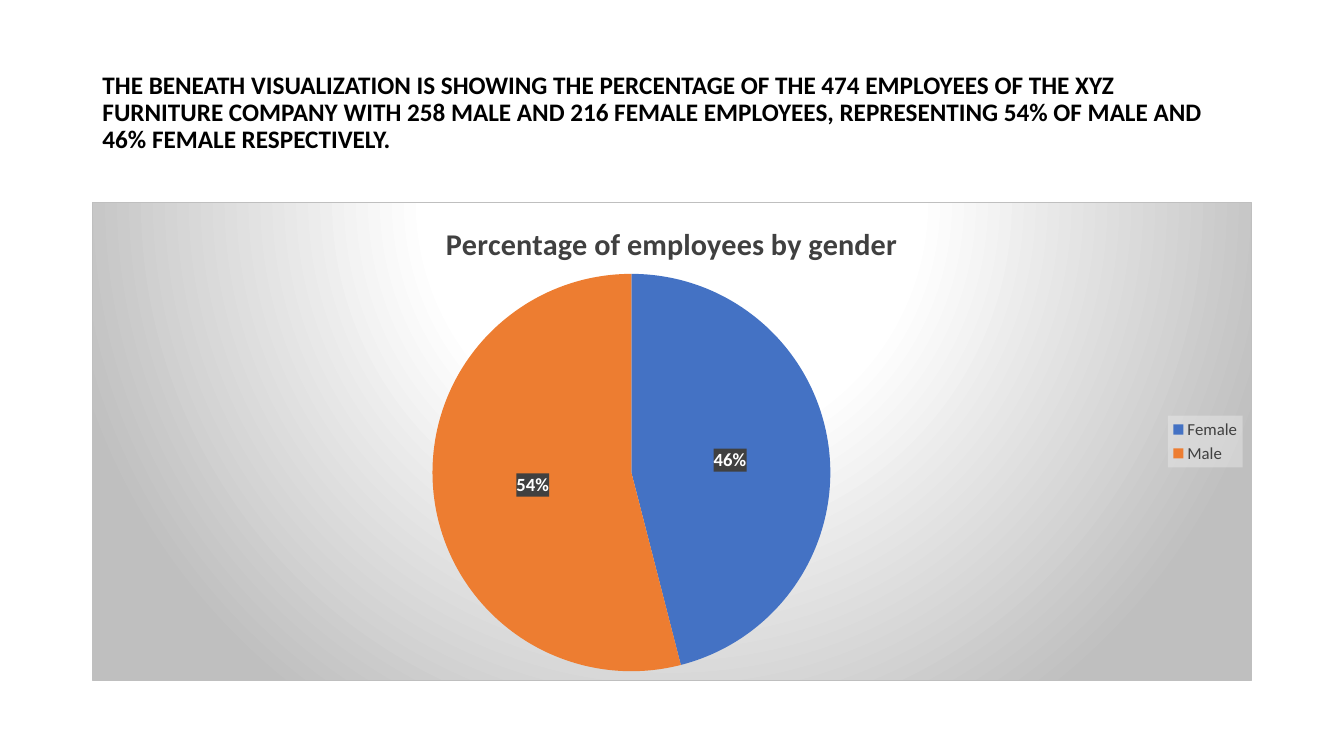
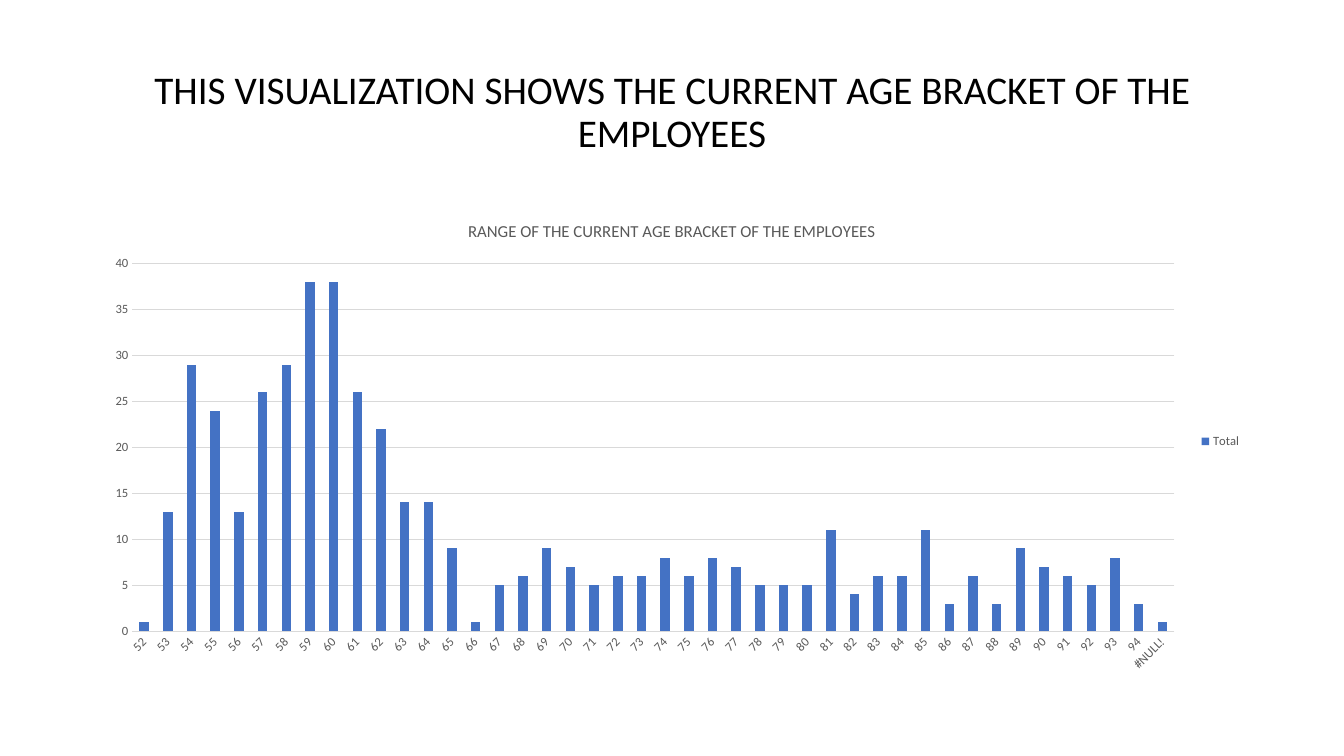
from pptx import Presentation
from pptx.chart.data import CategoryChartData
from pptx.dml.color import RGBColor
from pptx.enum.chart import XL_CHART_TYPE, XL_LABEL_POSITION, XL_LEGEND_POSITION, XL_TICK_MARK
from pptx.enum.text import MSO_ANCHOR, MSO_AUTO_SIZE, PP_ALIGN
from pptx.oxml import parse_xml
from pptx.oxml.ns import nsdecls, qn
from pptx.util import Pt

PIE, COLUMN = XL_CHART_TYPE.PIE, XL_CHART_TYPE.COLUMN_STACKED
LEFT, CENTER = PP_ALIGN.LEFT, PP_ALIGN.CENTER
MIDDLE, NO_AUTOFIT = MSO_ANCHOR.MIDDLE, MSO_AUTO_SIZE.NONE
LABEL_CENTER = XL_LABEL_POSITION.CENTER
LEGEND_RIGHT = XL_LEGEND_POSITION.RIGHT
NO_TICK = XL_TICK_MARK.NONE

COLORS = {
    "black": "000000", "white": "FFFFFF", "silver": "BFBFBF", "grid": "D9D9D9",
    "pale": "F2F2F2", "dark": "404040", "gray": "595959",
    "blue": "4472C4", "orange": "ED7D31",
}
FONT = "Calibri"
TITLE_ONLY = 5
MARGIN, CONTENT_WIDTH = 66, 828
TITLE_TOP, TITLE_HEIGHT = 28.75, 104.4
CHART_TOP, CHART_HEIGHT = 144, 342.7


def rgb(name):
    return RGBColor.from_string(COLORS[name])


def translucent(name, percent):
    return (f'<a:solidFill><a:srgbClr val="{COLORS[name]}">'
            f'<a:alpha val="{percent * 1000}"/></a:srgbClr></a:solidFill>')


def spotlight(center, edge):
    """Radial gradient centred above the chart."""
    stops = "".join(f'<a:gs pos="{pos * 1000}"><a:srgbClr val="{COLORS[name]}"/></a:gs>'
                    for pos, name in ((0, center), (39, center), (100, edge)))
    return (f'<a:gradFill><a:gsLst>{stops}</a:gsLst><a:path path="circle">'
            '<a:fillToRect l="50000" t="-80000" r="50000" b="180000"/></a:path></a:gradFill>')


def outline(name):
    return f'<a:ln w="9525"><a:solidFill><a:srgbClr val="{COLORS[name]}"/></a:solidFill></a:ln>'


NO_LINE = "<a:ln><a:noFill/></a:ln>"


def paint(element, fill, line=NO_LINE):
    """Give a chart part its fill and line, just ahead of its text properties."""
    properties = parse_xml(f'<c:spPr {nsdecls("c", "a")}>{fill}{line}</c:spPr>')
    element.find(qn("c:txPr")).addprevious(properties)


class Deck:
    def __init__(self):
        self.presentation = Presentation()
        self.presentation.slide_width = Pt(960)
        self.presentation.slide_height = Pt(540)
        self.slide = None

    def style(self, font, size, color, bold=False):
        font.name, font.size, font.bold = FONT, Pt(size), bold
        font.color.rgb = rgb(color)

    def add_text(self, frame, text, size, color, bold=False, align=CENTER):
        paragraph = frame.paragraphs[0]
        paragraph.alignment = align
        run = paragraph.add_run()
        run.text = text
        self.style(run.font, size, color, bold)
        return paragraph

    def new_slide(self, heading, size, bold=False, align=CENTER):
        layout = self.presentation.slide_layouts[TITLE_ONLY]
        self.slide = self.presentation.slides.add_slide(layout)
        title = self.slide.shapes.title
        title.left, title.top = Pt(MARGIN), Pt(TITLE_TOP)
        title.width, title.height = Pt(CONTENT_WIDTH), Pt(TITLE_HEIGHT)
        frame = title.text_frame
        frame.auto_size = NO_AUTOFIT
        frame.word_wrap = True
        frame.vertical_anchor = MIDDLE
        self.add_text(frame, heading, size, "black", bold, align).line_spacing = 0.9

    def chart(self, kind, series_name, counts, caption, caption_size, text_color,
              legend_size, bold=False):
        data = CategoryChartData()
        data.categories = list(counts)
        data.add_series(series_name, list(counts.values()))
        chart = self.slide.shapes.add_chart(
            kind, Pt(MARGIN), Pt(CHART_TOP), Pt(CONTENT_WIDTH), Pt(CHART_HEIGHT), data).chart
        self.style(chart.font, 10, "black")
        chart.has_title = True
        self.add_text(chart.chart_title.text_frame, caption, caption_size, text_color, bold)
        chart.has_legend = True
        chart.legend.position = LEGEND_RIGHT
        chart.legend.include_in_layout = False
        self.style(chart.legend.font, legend_size, text_color)
        return chart

    def pie(self, series_name, shares, slice_colors, caption):
        chart = self.chart(PIE, series_name, shares, caption, 21.6, "dark", 12, bold=True)
        paint(chart._chartSpace, spotlight("white", "silver"), outline("silver"))
        paint(chart.legend._element, translucent("pale", 39))
        plot = chart.plots[0]
        plot.vary_by_categories = True
        series = plot.series[0]
        for index, color in enumerate(slice_colors):
            fill = series.points[index].format.fill
            fill.solid()
            fill.fore_color.rgb = rgb(color)
        # Percentage labels
        labels = series.data_labels
        labels.show_percentage, labels.show_value = True, False
        labels.number_format, labels.number_format_is_linked = "0%", False
        labels.position = LABEL_CENTER
        self.style(labels.font, 13.3, "white", bold=True)
        paint(labels._element, translucent("dark", 90))
        # Fixed plot area
        modes = '<c:layoutTarget val="inner"/><c:xMode val="edge"/><c:yMode val="edge"/>'
        place = "".join(f'<c:{side} val="{value}"/>' for side, value in
                        (("x", 0.11), ("y", 0.15), ("w", 0.71), ("h", 0.83)))
        plot_area = chart._chartSpace.chart.plotArea
        for old_layout in plot_area.findall(qn("c:layout")):
            plot_area.remove(old_layout)
        plot_area.insert(0, parse_xml(
            f'<c:layout {nsdecls("c")}><c:manualLayout>{modes}{place}</c:manualLayout></c:layout>'))

    def columns(self, series_name, counts, color, caption, top, step):
        chart = self.chart(COLUMN, series_name, counts, caption, 12, "gray", 9)
        paint(chart._chartSpace, "<a:noFill/>")
        plot = chart.plots[0]
        plot.vary_by_categories = False
        plot.gap_width, plot.overlap = 150, 100
        fill = plot.series[0].format.fill
        fill.solid()
        fill.fore_color.rgb = rgb(color)
        # Axes
        ages, scale = chart.category_axis, chart.value_axis
        for axis in (ages, scale):
            axis.major_tick_mark = axis.minor_tick_mark = NO_TICK
            axis.format.line.fill.background()
            self.style(axis.tick_labels.font, 9, "gray")
        ages.has_major_gridlines = False
        ages._element.find(qn("c:txPr")).find(qn("a:bodyPr")).set("rot", "-2700000")
        scale.minimum_scale, scale.maximum_scale, scale.major_unit = 0, top, step
        scale.has_major_gridlines = True
        grid = scale.major_gridlines.format.line
        grid.color.rgb = rgb("grid")
        grid.width = Pt(0.75)


def main():
    deck = Deck()

    # Gender split
    deck.new_slide(
        "THE BENEATH VISUALIZATION IS SHOWING THE PERCENTAGE OF THE 474 EMPLOYEES OF THE XYZ "
        "FURNITURE COMPANY WITH 258 MALE AND 216 FEMALE EMPLOYEES, REPRESENTING 54% OF MALE AND "
        "46% FEMALE RESPECTIVELY.", 18, bold=True, align=LEFT)
    deck.pie("Series 1", {"Female": 46, "Male": 54}, ("blue", "orange"),
             "Percentage of employees by gender")

    # Age distribution
    deck.new_slide("THIS VISUALIZATION SHOWS THE CURRENT AGE BRACKET OF THE EMPLOYEES", 28)
    ages = [str(age) for age in range(52, 95)] + ["#NULL!"]
    headcounts = [1, 13, 29, 24, 13, 26, 29, 38, 38, 26, 22, 14, 14, 9, 1,
                  5, 6, 9, 7, 5, 6, 6, 8, 6, 8, 7, 5, 5, 5, 11,
                  4, 6, 6, 11, 3, 6, 3, 9, 7, 6, 5, 8, 3, 1]
    deck.columns("Total", dict(zip(ages, headcounts)), "blue",
                 "RANGE OF THE CURRENT AGE BRACKET OF THE EMPLOYEES", top=40, step=5)

    deck.presentation.save("out.pptx")


if __name__ == "__main__":
    main()
